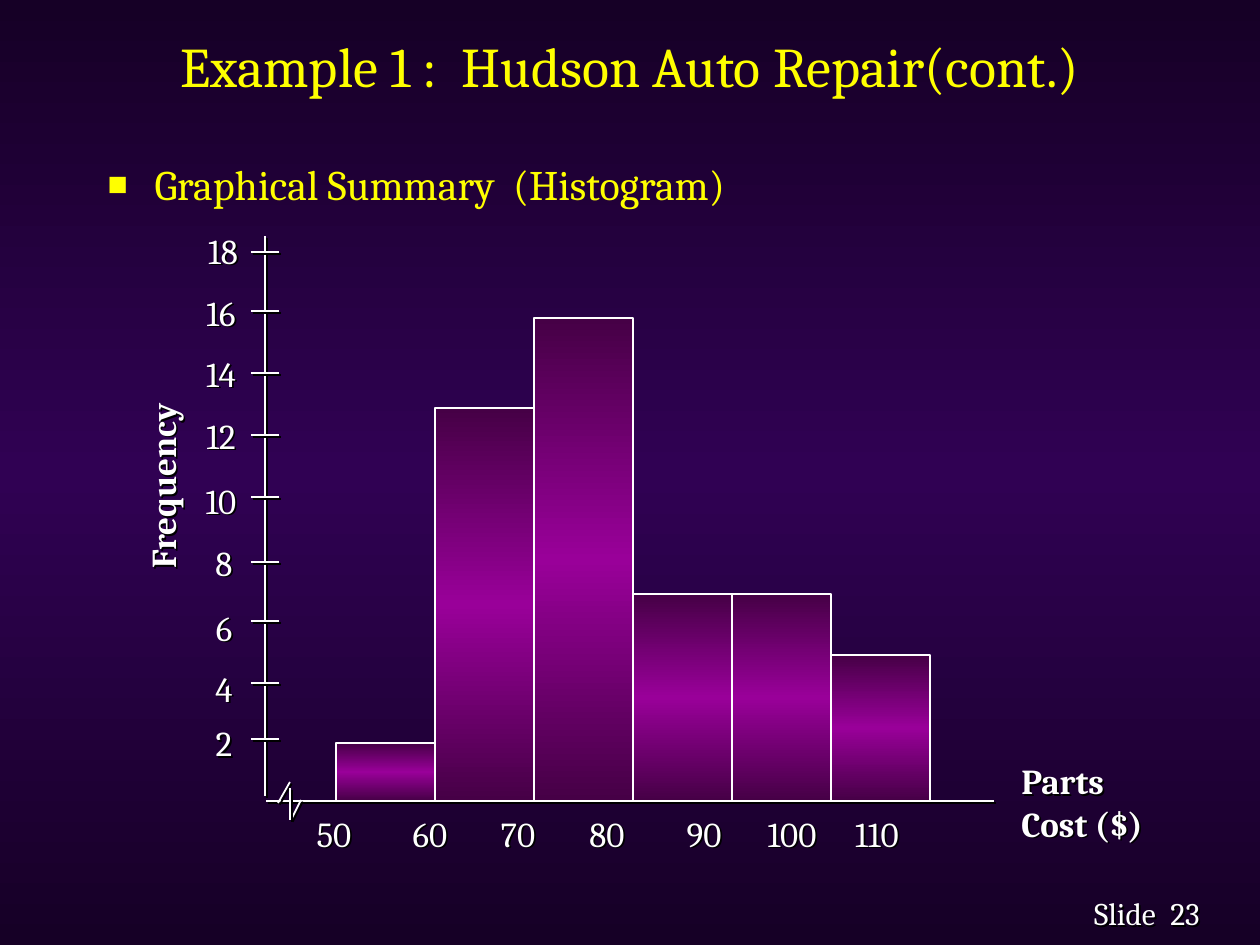
from copy import deepcopy

from lxml import etree
from pptx import Presentation, util as u
from pptx.dml.color import RGBColor
from pptx.enum import shapes, text
from pptx.oxml.ns import qn

PX = 914400 // 126
FONT = "Cambria"
WHITE, YELLOW = "FFFFFF", "FFFF00"
BACKDROP = ("160026", "300153")
BAR_FILL = ("460046", "990099")

TITLE = ("Example 1 :  Hudson Auto Repair(cont.)", (95, 9, 1071, 112), 32)
BODY = ("Graphical Summary  (Histogram)", (95, 152, 1071, 640), 24)

AXIS_X, BASE_Y = 265, 801
TICK_HALF = 14
COST_Y, FOOTER_Y = 833, 913
FREQUENCIES = [
    ("2", 739, 743, 224), ("4", 683, 688, 224), ("6", 621, 627, 224),
    ("8", 562, 562, 224), ("10", 497, 500, 221), ("12", 435, 435, 221),
    ("14", 373, 373, 221), ("16", 311, 312, 221), ("18", 252, 250, 223),
]
COSTS = [("50", 334), ("60", 430), ("70", 518), ("80", 607),
         ("90", 704), ("100", 792), ("110", 877)]
BAR_LEFT, BAR_WIDTH = 336, 99
BAR_TOPS = [743, 408, 318, 594, 594, 655]
AXES = [(266, BASE_Y, 994, BASE_Y), (AXIS_X, 796, AXIS_X, 236)]
AXIS_BREAK = [(278, 803, 290, 782), (291, 820, 301, 800), (290, 788, 290, 820)]
FOOTER = [("Slide", 1125), ("23", 1185)]


def px(*lengths):
    return [u.Emu(n * PX) for n in lengths]


def rgb(value):
    return RGBColor.from_string(value)


def gradient(fill, owner, edge, middle):
    fill.gradient()
    fill.gradient_angle = 270
    stops = owner.find(".//" + qn("a:gsLst"))
    stops.insert(1, deepcopy(stops[0]))
    for stop, position, color in zip(fill.gradient_stops, (0, 0.5, 1), (edge, middle, edge)):
        stop.position = position
        stop.color.rgb = rgb(color)


def add_shadow(part):
    effects = etree.SubElement(part.element.spPr, qn("a:effectLst"))
    outer = etree.SubElement(effects, qn("a:outerShdw"), dist="17961", dir="2700000")
    etree.SubElement(outer, qn("a:srgbClr"), val="000000")


def style(paragraph, size, color, bold=False):
    font = paragraph.font
    font.name, font.size, font.bold = FONT, u.Pt(size), bold
    font.color.rgb = rgb(color)


def fill_placeholder(holder, content, color):
    words, place, size = content
    holder.left, holder.top, holder.width, holder.height = px(*place)
    frame = holder.text_frame
    frame.text = words
    frame.auto_size = text.MSO_AUTO_SIZE.NONE
    style(frame.paragraphs[0], size, color)
    return frame.paragraphs[0]


def add_label(slide, lines, center, size=20, bold=False, extent=(120, 54),
              align=text.PP_ALIGN.CENTER):
    (x, y), (width, height) = center, extent
    box = slide.shapes.add_textbox(*px(x - width // 2, y - height // 2, width, height))
    add_shadow(box)
    frame = box.text_frame
    frame.word_wrap = True
    frame.vertical_anchor = text.MSO_ANCHOR.MIDDLE
    frame.text = "\n".join(lines)
    for paragraph in frame.paragraphs:
        paragraph.alignment = align
        style(paragraph, size, WHITE, bold)
    return box


def add_line(slide, ends):
    line = slide.shapes.add_connector(shapes.MSO_CONNECTOR.STRAIGHT, *px(*ends))
    line.line.color.rgb = rgb(WHITE)
    line.line.width = u.Pt(1)
    add_shadow(line)


def add_bar(slide, index, top):
    bar = slide.shapes.add_shape(
        shapes.MSO_SHAPE.RECTANGLE,
        *px(BAR_LEFT + index * BAR_WIDTH, top, BAR_WIDTH, BASE_Y - top))
    gradient(bar.fill, bar.element, *BAR_FILL)
    bar.line.color.rgb = rgb(WHITE)
    bar.line.width = u.Pt(1)
    bar.shadow.inherit = False


def main():
    deck = Presentation()
    deck.slide_width, deck.slide_height = u.Inches(10), u.Inches(7.5)
    slide = deck.slides.add_slide(deck.slide_layouts[1])
    gradient(slide.background.fill, slide.element, *BACKDROP)

    title = fill_placeholder(slide.shapes.title, TITLE, YELLOW)
    title.alignment = text.PP_ALIGN.CENTER
    summary = fill_placeholder(slide.placeholders[1], BODY, YELLOW)
    bullet = summary._p.get_or_add_pPr()
    bullet.set("marL", str(47 * PX))
    bullet.set("indent", str(-47 * PX))
    marks = [etree.Element(qn("a:buClr")),
             etree.Element(qn("a:buSzPct"), val="80000"),
             etree.Element(qn("a:buChar"), char="■")]
    etree.SubElement(marks[0], qn("a:srgbClr"), val=YELLOW)
    for mark in marks:
        bullet.find(qn("a:defRPr")).addprevious(mark)

    ticks = [(AXIS_X - TICK_HALF, y, AXIS_X + TICK_HALF, y) for _, y, _, _ in FREQUENCIES]
    for ends in AXES + ticks:
        add_line(slide, ends)
    for index, top in enumerate(BAR_TOPS):
        add_bar(slide, index, top)
    for ends in AXIS_BREAK:
        add_line(slide, ends)

    for count, _, y, x in FREQUENCIES:
        add_label(slide, [count], (x, y))
    for cost, x in COSTS:
        add_label(slide, [cost], (x, COST_Y))
    frequency = add_label(slide, ["Frequency"], (162, 486), bold=True, extent=(220, 54))
    frequency.rotation = 270
    add_label(slide, ["Parts", "Cost ($)"], (1109, 802), bold=True,
              extent=(200, 96), align=text.PP_ALIGN.LEFT)
    for word, x in FOOTER:
        add_label(slide, [word], (x, FOOTER_Y), size=18)

    deck.save("out.pptx")


if __name__ == "__main__":
    main()
